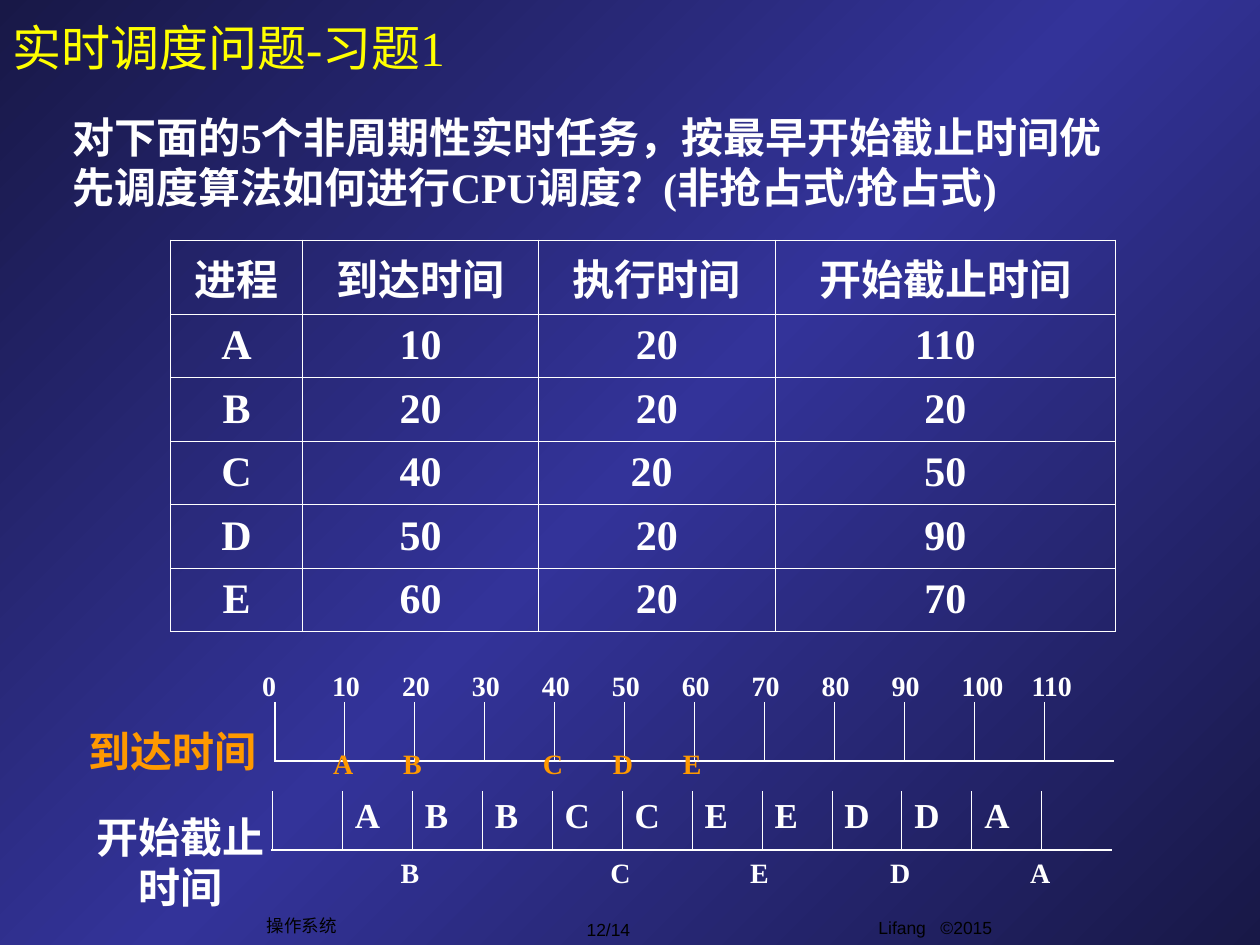
from copy import deepcopy
from dataclasses import dataclass

from pptx import Presentation
from pptx.dml.color import RGBColor
from pptx.enum.text import MSO_ANCHOR, PP_ALIGN
from pptx.oxml import parse_xml
from pptx.oxml.ns import nsdecls, qn
from pptx.util import Cm, Pt


@dataclass(frozen=True)
class Theme:
    serif: str = "Times New Roman"
    sans: str = "Arial"
    edge: str = "181847"
    middle: str = "333399"
    title: str = "FFFF00"
    text: str = "FFFFFF"
    accent: str = "FF9900"
    footer: str = "000000"
    title_size: int = 28
    body_size: int = 24
    slot_size: int = 20
    scale_size: int = 16
    footer_size: int = 10
    thin: float = 0.45
    thick: float = 1.08


T = Theme()
BODY = dict(name=T.serif, size=T.body_size, color=T.text, bold=True)
SCALE = {**BODY, "size": T.scale_size}
SLOT = {**BODY, "size": T.slot_size}
TITLE = dict(name=T.serif, size=T.title_size, color=T.title, bold=False)
FOOTER = dict(name=T.sans, size=T.footer_size, color=T.footer, bold=False)


def write(tf, text, fmt, align=PP_ALIGN.LEFT):
    p = tf.paragraphs[0]
    p.alignment = align
    r = p.add_run()
    r.text = text
    values = {**fmt, "size": Pt(fmt["size"])}
    r.font.color.rgb = RGBColor.from_string(values.pop("color"))
    for key, value in values.items():
        setattr(r.font, key, value)


def add_text(s, box, text, fmt, align=PP_ALIGN.CENTER, anchor=MSO_ANCHOR.TOP, wrap=True):
    tf = s.shapes.add_textbox(*map(Cm, box)).text_frame
    tf.word_wrap = wrap
    tf.vertical_anchor = anchor
    write(tf, text, fmt, align)


def set_borders(cell, widths):
    """Give each side named in widths a line, and the other sides none."""
    tcPr = cell._tc.get_or_add_tcPr()
    for i, side in enumerate("LRTB"):
        width = widths.get(side)
        paint = f'<a:solidFill><a:srgbClr val="{T.text}"/></a:solidFill>' if width else "<a:noFill/>"
        line = f'<a:ln{side} {nsdecls("a")} w="{Pt(width or 0)}">{paint}</a:ln{side}>'
        tcPr.insert(i, parse_xml(line))


def add_grid(s, left, top, cols, heights, rows, fmt, borders,
             align=PP_ALIGN.LEFT, anchor=MSO_ANCHOR.TOP):
    """Draw a table without fill; borders(column) gives the widths of a cell's sides."""
    box = map(Cm, (left, top, sum(cols), sum(heights)))
    table = s.shapes.add_table(len(rows), len(cols), *box).table
    table.first_row = table.horz_banding = False
    for column, width in zip(table.columns, cols):
        column.width = Cm(width)
    for i, (row, height) in enumerate(zip(rows, heights)):
        table.rows[i].height = Cm(height)
        for j, text in enumerate(row):
            cell = table.cell(i, j)
            cell.fill.background()
            set_borders(cell, borders(j))
            cell.vertical_anchor = anchor
            if text:
                write(cell.text_frame, text, fmt, align)
            else:
                cell.margin_top = cell.margin_bottom = 0


def add_background(s):
    fill = s.background.fill
    fill.gradient()
    fill.gradient_angle = 315
    stops = s._element.find(".//" + qn("a:gsLst"))
    stops.append(deepcopy(stops[0]))
    for stop, position, color in zip(fill.gradient_stops, (0, 0.5, 1), (T.edge, T.middle, T.edge)):
        stop.position = position
        stop.color.rgb = RGBColor.from_string(color)


def add_heading(s, box):
    left, top, width, height = box
    title = s.shapes.title
    places = dict(left=left, top=top, width=width, height=height)
    for key, value in places.items():
        setattr(title, key, Cm(value))
    title.text_frame.vertical_anchor = MSO_ANCHOR.MIDDLE
    write(title.text_frame, "实时调度问题-习题1", TITLE)


def add_tasks(s, left, top):
    rows = [
        ("进程", "到达时间", "执行时间", "开始截止时间"),
        ("A", "10", "20", "110"),
        ("B", "20", "20", "20"),
        ("C", "40", "20 ", "50"),
        ("D", "50", "20", "90"),
        ("E", "60", "20", "70"),
    ]
    heights = [1.49] + [1.28] * 5
    add_grid(s, left, top, (2.66, 4.76, 4.76, 6.87), heights, rows, BODY,
             lambda j: dict.fromkeys("LRTB", T.thin), PP_ALIGN.CENTER, MSO_ANCHOR.MIDDLE)


def add_timeline(s, left, top):
    times = range(0, 120, 10)
    count = len(times)
    cols = [1.41] * count
    label_height, tick_height = 0.94, 1.19

    def ticks(j):
        sides = dict(L=T.thin if j else T.thick, B=T.thick)
        return sides if j == count - 1 else {**sides, "R": T.thin}

    def no_lines(j):
        return {}

    def marks(events):
        return [events.get(t, "") for t in times]

    arrivals = marks({10: "A", 20: "B", 40: "C", 50: "D", 60: "E"})
    deadlines = marks({20: "B", 50: "C", 70: "E", 90: "D", 110: "A"})
    slots = ["", *"ABBCCEEDDA", ""]
    accent = {**SCALE, "color": T.accent}

    # Axes and their marks: offsets, height, texts, format, borders
    strips = [
        (4.09, 0.74, tick_height, [""] * count, SCALE, ticks),
        (3.58, 0, label_height, [str(t) for t in times], SCALE, no_lines),
        (4.04, 2.54, tick_height, slots, SLOT, ticks),
        (3.6, 1.58, label_height, arrivals, accent, no_lines),
        (3.55, 3.76, label_height, deadlines, SCALE, no_lines),
    ]
    for dx, dy, height, texts, fmt, borders in strips:
        add_grid(s, left + dx, top + dy, cols, [height], [texts], fmt, borders)

    # Captions of the two axes
    add_text(s, (left, top + 1.09, 4.04, 1.27), "到达时间", {**BODY, "color": T.accent})
    add_text(s, (left + 0.2, top + 2.82, 3.96, 2.29), "开始截止时间", BODY)


def add_footer(s, top):
    middle = dict(anchor=MSO_ANCHOR.MIDDLE, wrap=False)
    add_text(s, (14.83, top + 0.05, 8.05, 0.89), "Lifang   ©2015", FOOTER)
    add_text(s, (10.97, top + 0.08, 2.59, 0.69), "12/14", FOOTER, **middle)
    add_text(s, (5.13, top, 1.91, 0.69), "操作系统", FOOTER, **middle)


def main():
    prs = Presentation()
    prs.slide_width, prs.slide_height = Cm(25.4), Cm(19.05)
    s = prs.slides.add_slide(prs.slide_layouts[5])
    add_background(s)
    add_footer(s, 18.31)
    add_heading(s, (0, 0, 21.62, 1.9))
    add_text(s, (1.22, 2.08, 21.89, 2.36),
             "对下面的5个非周期性实时任务，按最早开始截止时间优先调度算法如何进行CPU调度？(非抢占式/抢占式)",
             BODY, PP_ALIGN.LEFT, MSO_ANCHOR.MIDDLE)
    add_tasks(s, 3.44, 4.84)
    add_timeline(s, 1.45, 13.41)
    prs.save("out.pptx")


if __name__ == "__main__":
    main()
